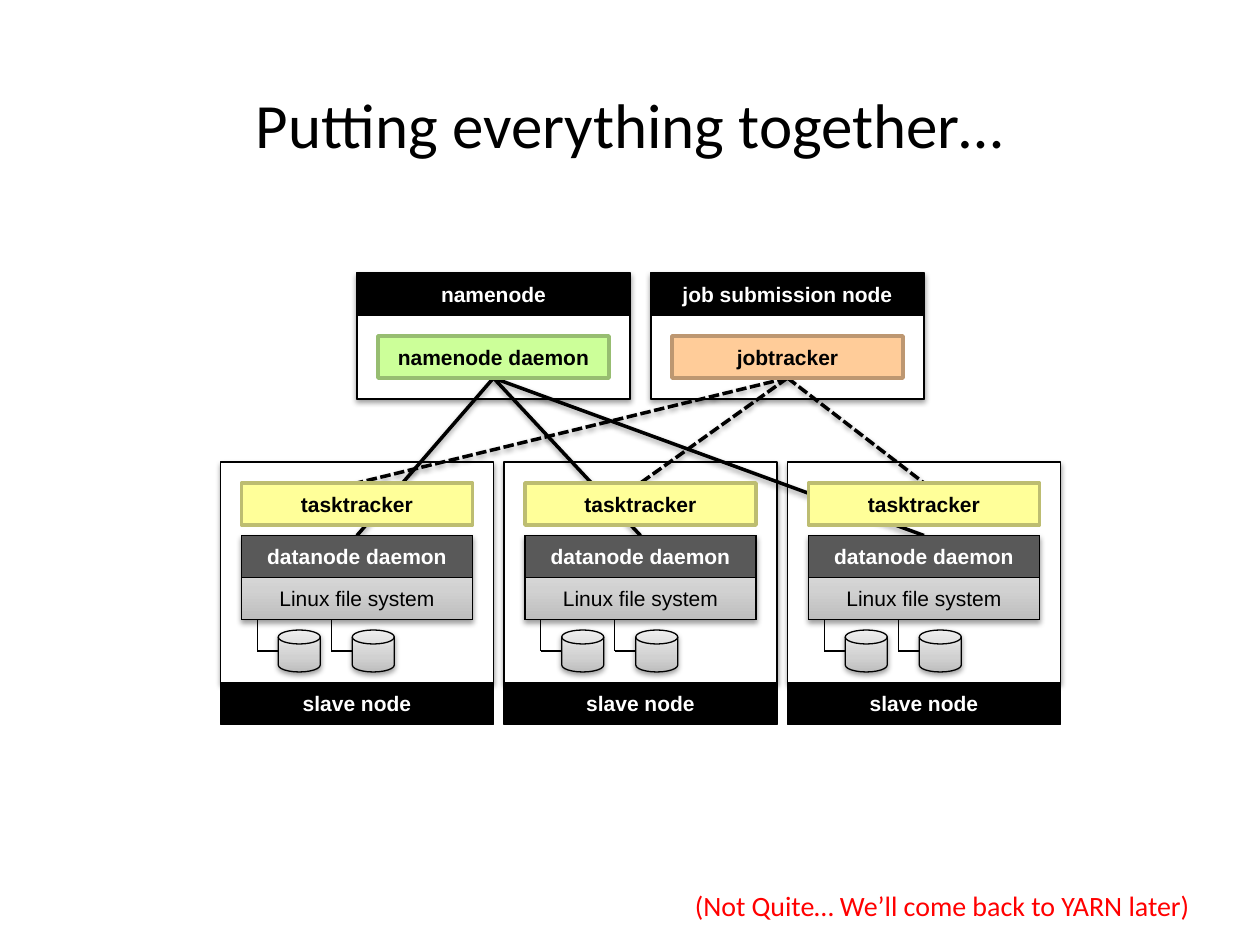
from copy import deepcopy
from lxml import etree
from pptx import Presentation
from pptx.dml.color import RGBColor as Rgb
from pptx.enum import dml, shapes, text
from pptx.oxml import parse_xml
from pptx.util import Inches, Pt

HUE = {
    "black": "000000", "white": "FFFFFF", "red": "FF0000", "gray": "595959",
    "lime": "CCFF99", "moss": "97BD71", "peach": "FFCC99", "tan": "BD9771",
    "lemon": "FFFF99", "sand": "BDBD71",
    "steel": "BDBDBD", "fog": "D1D1D1", "pale": "EEEEEE",
}
NS = "http://schemas.openxmlformats.org/drawingml/2006/main"
FLAT = parse_xml(f'<a:effectLst xmlns:a="{NS}"/>')
SHADE = parse_xml(
    f'<a:effectLst xmlns:a="{NS}"><a:outerShdw blurRad="40000" dist="20000" '
    'dir="5400000" rotWithShape="0"><a:srgbClr val="000000">'
    '<a:alpha val="38000"/></a:srgbClr></a:outerShdw></a:effectLst>')
RECT = shapes.MSO_SHAPE.RECTANGLE
DISK = shapes.MSO_SHAPE.FLOWCHART_MAGNETIC_DISK

deck = Presentation()
deck.slide_width, deck.slide_height = Inches(10), Inches(7.5)
slide = deck.slides.add_slide(deck.slide_layouts[6])

# Grid: 120 columns by 90 rows
CELL = deck.slide_width / 120
WIDE, SLIM, BAR = 26, 22, 4     # node width, inner width, bar height
PAD = (WIDE - SLIM) / 2


def box(x, y, w, h, fill=None, edge="black", pen=0.75, form=RECT,
        lift=False, label="", ink="black", bold=True):
    """Draw an outlined shape, with a label if one is given."""
    item = slide.shapes.add_shape(form, *(int(n * CELL) for n in (x, y, w, h)))
    if fill == "metal":
        item.fill.gradient()
        item.fill.gradient_angle = 90
        stops = item._element.spPr.find(f".//{{{NS}}}gsLst")
        stops.insert(1, deepcopy(stops[0]))
        tones = (0, "steel"), (0.35, "fog"), (1, "pale")
        for stop, (spot, tone) in zip(item.fill.gradient_stops, tones):
            stop.position = spot
            stop.color.rgb = Rgb.from_string(HUE[tone])
    elif fill:
        item.fill.solid()
        item.fill.fore_color.rgb = Rgb.from_string(HUE[fill])
    else:
        item.fill.background()
    item.line.color.rgb = Rgb.from_string(HUE[edge])
    item.line.width = Pt(pen)
    item._element.spPr.append(deepcopy(SHADE if lift else FLAT))
    if label:
        frame = item.text_frame
        frame.vertical_anchor = text.MSO_ANCHOR.MIDDLE
        para = frame.paragraphs[0]
        para.alignment = text.PP_ALIGN.CENTER
        run = para.add_run()
        run.text = label
        run.font.name, run.font.size, run.font.bold = "Arial", Pt(12), bold
        run.font.color.rgb = Rgb.from_string(HUE[ink])


def link(x, y, to_x, to_y, pen=0.75, dash=None, lift=False):
    """Draw a straight line between two grid points."""
    wire = slide.shapes.add_connector(
        shapes.MSO_CONNECTOR.STRAIGHT,
        *(int(n * CELL) for n in (x, y, to_x, to_y)))
    wire.line.color.rgb = Rgb.from_string(HUE["black"])
    wire.line.width = Pt(pen)
    if dash:
        wire.line.dash_style = dash
    wire._element.spPr.append(deepcopy(SHADE if lift else FLAT))


# Left edge, heading, daemon, its fill and edge, link end row, link dash
heads = [
    (34, "namenode", "namenode daemon", "lime", "moss", 51, None),
    (62, "job submission node", "jobtracker", "peach", "tan", 46,
     dml.MSO_LINE.SQUARE_DOT),
]
slaves = [21, 48, 75]

# Node panels
for x, *_ in heads:
    box(x, 26, WIDE, 12, "white", lift=True)
for x in slaves:
    box(x, 44, WIDE, 21, "white", lift=True)

# Links from masters to slaves
for left, *_, row, dash in heads:
    for x in slaves:
        link(left + WIDE / 2, 36, x + WIDE / 2, row, 2, dash, lift=True)

# Slave nodes
for x in slaves:
    inner = x + PAD
    box(inner, 51, SLIM, 2 * BAR, "metal", lift=True)
    box(inner, 51, SLIM, BAR, "gray", label="datanode daemon", ink="white")
    box(inner, 55, SLIM, BAR, label="Linux file system", bold=False)
    for stem in (x + 3.5, x + 10.55):
        box(stem + 2, 60, BAR, BAR, "metal", form=DISK, lift=True)
        link(stem, 59, stem, 62)
        link(stem, 62, stem + 2, 62)
    box(inner, 46, SLIM, BAR, "lemon", "sand", 2, label="tasktracker")
    box(x, 65, WIDE, BAR, "black", label="slave node", ink="white")

# Master nodes
for x, name, job, fill, edge, *_ in heads:
    box(x, 26, WIDE, BAR, "black", label=name, ink="white")
    box(x, 30, WIDE, 8)
    box(x + PAD, 32, SLIM, BAR, fill, edge, 2, label=job)

# Title and footnote
notes = [
    (0, 7.2, 120, 9, "Putting everything together…", 36, "black", True),
    (65, 84, 53, 4.4, "(Not Quite… We’ll come back to YARN later)", 16,
     "red", False),
]
for x, y, w, h, words, size, ink, wrap in notes:
    frame = slide.shapes.add_textbox(
        *(int(n * CELL) for n in (x, y, w, h))).text_frame
    frame.word_wrap = wrap
    frame.vertical_anchor = text.MSO_ANCHOR.MIDDLE
    para = frame.paragraphs[0]
    para.alignment = text.PP_ALIGN.CENTER if wrap else text.PP_ALIGN.LEFT
    run = para.add_run()
    run.text = words
    run.font.name, run.font.size = "Calibri", Pt(size)
    run.font.color.rgb = Rgb.from_string(HUE[ink])

deck.save("out.pptx")
